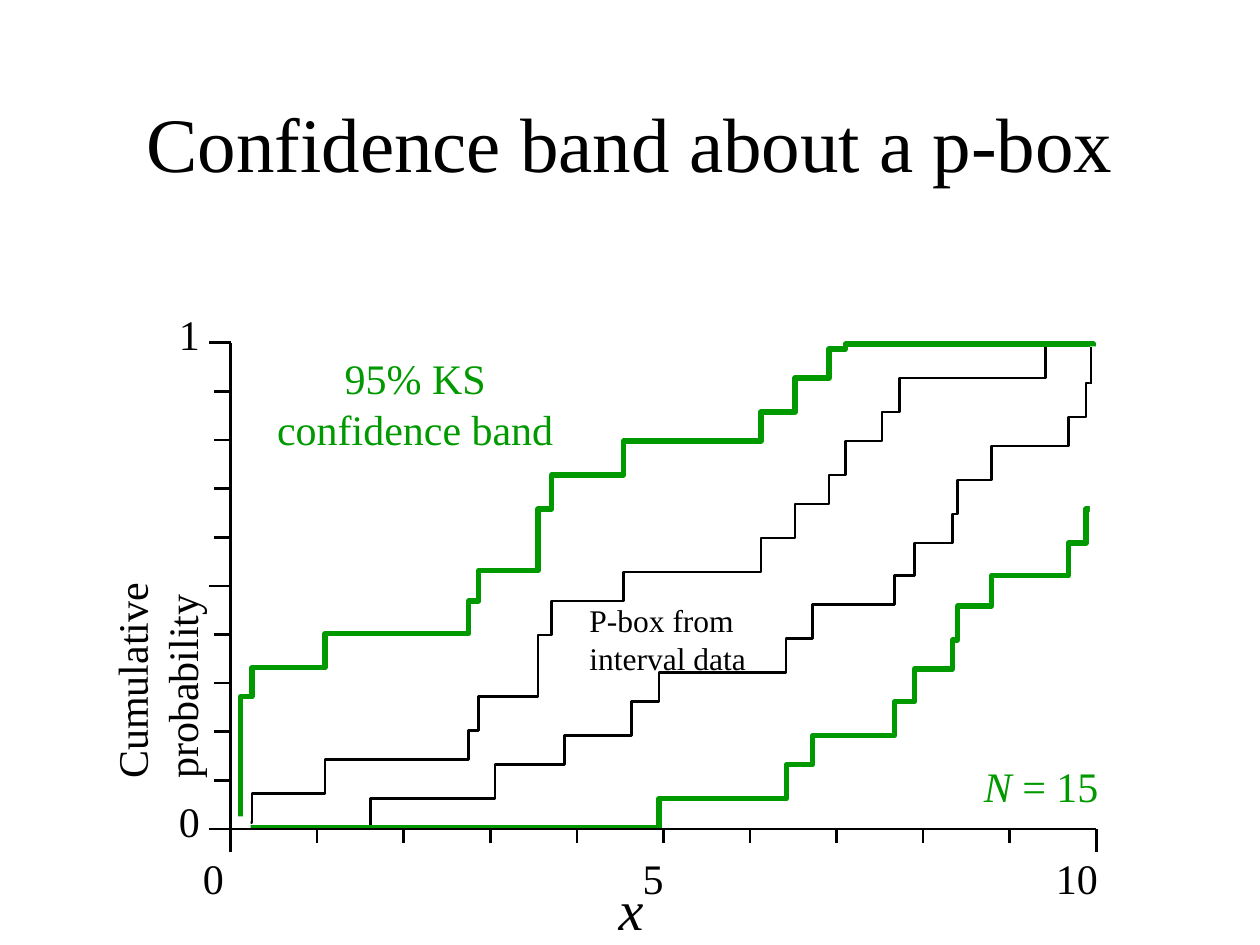
import dataclasses

import pptx
import pptx.dml.color
import pptx.enum.shapes
import pptx.enum.text
import pptx.oxml
import pptx.oxml.ns
import pptx.util

HUES = {"ink": "000000", "band": "009900", "paper": "FFFFFF"}
FONT = "Times New Roman"
ALIGN = pptx.enum.text.PP_ALIGN
ANCHOR = pptx.enum.text.MSO_ANCHOR

# Axes: origin, end points and tick gaps
LEFT, RIGHT, BASE, TOP = 1.83, 8.7, 6.58, 2.72
COUNT = 10
STEP_X = (RIGHT - LEFT) / COUNT
STEP_Y = (BASE - TOP) / COUNT

# Curves: limits and half width of the confidence band
FLOOR, ROOF, START, END = 6.57, 2.73, 1.91, 8.68
SHIFT = 1.0


@dataclasses.dataclass
class Step:
    x: float
    y: float
    wide: float = 1.0  # scales the shift where the band is rounded outward


@dataclasses.dataclass
class Label:
    text: str
    x: float
    y: float
    w: float
    h: float
    size: int = 24
    italic: bool = False


UPPER = [Step(*p) for p in (
    (1.91, 6.53), (2, 6.3), (2.58, 6.03), (3.72, 5.8, 1.03), (3.8, 5.53),
    (4.27, 5.04), (4.38, 4.77), (4.95, 4.54, 1.04), (6.04, 4.27), (6.31, 4),
    (6.58, 3.77), (6.71, 3.5), (7, 3.27), (7.14, 3), (8.3, 2.73))]
LOWER = [Step(*p) for p in (
    (2.94, 6.34), (3.93, 6.07), (4.48, 5.84), (5.01, 5.57), (5.23, 5.34),
    (6.24, 5.07), (6.45, 4.8, 1.04), (7.1, 4.57), (7.26, 4.31), (7.56, 4.08),
    (7.6, 3.81), (7.87, 3.54, 1.03), (8.48, 3.31), (8.62, 3.04))]

MARKS = [
    Label("0", 1.61, 6.77, 0.2, 0.4),
    Label("5", 5.1, 6.77, 0.2, 0.4),
    Label("10", 8.38, 6.77, 0.4, 0.4),
    Label("0", 1.42, 6.31, 0.2, 0.4),
    Label("1", 1.42, 2.45, 0.2, 0.4),
    Label("x", 4.91, 6.94, 0.22, 0.53, 32, True),
]


def size(inch: float) -> int:
    return pptx.util.Cm(inch * 2.54)


def hue(name: str) -> pptx.dml.color.RGBColor:
    return pptx.dml.color.RGBColor.from_string(HUES[name])


def write(slide, text, x, y, w, h, *, pts=24, color="ink", italic=0,
          align=ALIGN.LEFT, anchor=ANCHOR.TOP, pad=True, wrap=True, turn=0):
    """Add a text box; the first `italic` letters are slanted."""
    box = slide.shapes.add_textbox(size(x), size(y), size(w), size(h))
    box.rotation = turn
    frame = box.text_frame
    frame.word_wrap = wrap
    frame.vertical_anchor = anchor
    if not pad:
        frame.margin_left = frame.margin_right = 0
        frame.margin_top = frame.margin_bottom = 0
    para = frame.paragraphs[0]
    para.alignment = align
    for part, slant in ((text[:italic], True), (text[italic:], False)):
        if part:
            run = para.add_run()
            run.text = part
            run.font.name = FONT
            run.font.size = pptx.util.Pt(pts)
            run.font.italic = slant
            run.font.color.rgb = hue(color)


def line(slide, x1: float, y1: float, x2: float, y2: float) -> None:
    link = slide.shapes.add_connector(
        pptx.enum.shapes.MSO_CONNECTOR.STRAIGHT,
        size(x1), size(y1), size(x2), size(y2))
    link.line.color.rgb = hue("ink")
    link.line.width = pptx.util.Pt(1.5)
    link._element.spPr.append(
        pptx.oxml.parse_xml(f'<a:effectLst {pptx.oxml.ns.nsdecls("a")}/>'))


def stair(steps: list[Step], shift: float) -> list[tuple[float, float]]:
    """Corners of a rising step curve, moved by shift and kept in range."""
    spots, level = [(START, FLOOR)], FLOOR
    for step in steps:
        spots.append((step.x, level))
        level = min(max(step.y + shift * step.wide, ROOF), FLOOR)
        spots.append((step.x, level))
    return spots + [(END, level)]


def bounds(slide, shift: float, color: str, pts: float) -> None:
    """Outline between the upper and the lower step curve."""
    ring = stair(UPPER, -shift) + stair(LOWER, shift)[::-1]
    spots = [(size(x), size(y)) for x, y in ring]
    pen = slide.shapes.build_freeform(*spots[0])
    pen.add_line_segments(spots[1:], close=True)
    shape = pen.convert_to_shape()
    shape.shadow.inherit = False
    shape.fill.background()
    shape.line.color.rgb = hue(color)
    shape.line.width = pptx.util.Pt(pts)


def mask(slide, x: float, y: float, w: float, h: float) -> None:
    shape = slide.shapes.add_shape(
        pptx.enum.shapes.MSO_SHAPE.RECTANGLE,
        size(x), size(y), size(w), size(h))
    shape.shadow.inherit = False
    shape.fill.solid()
    shape.fill.fore_color.rgb = hue("paper")
    shape.line.fill.background()


def axes(slide) -> None:
    line(slide, LEFT, BASE, RIGHT, BASE)
    line(slide, LEFT, BASE, LEFT, TOP)
    for i in range(COUNT + 1):
        x, y = LEFT + i * STEP_X, BASE - i * STEP_Y
        line(slide, x, BASE, x, BASE + (0.18 if i % 10 == 0 else 0.11))
        line(slide, LEFT, y, LEFT - (0.17 if i % 5 == 0 else 0.13), y)


def main() -> None:
    deck = pptx.Presentation()
    deck.slide_width, deck.slide_height = size(10), size(7.5)
    slide = deck.slides.add_slide(deck.slide_layouts[6])

    # Title
    write(slide, "Confidence band about a p-box", 0.75, 0.5, 8.5, 1.25,
          pts=44, align=ALIGN.CENTER, anchor=ANCHOR.MIDDLE)

    # P-box, its confidence band, and covers for the closing edges
    bounds(slide, 0, "ink", 1.5)
    bounds(slide, SHIFT, "band", 3)
    mask(slide, 1.81, 6.48, 0.18, 0.13)
    mask(slide, 8.65, 2.75, 0.22, 1.33)
    line(slide, 8.66, 3.05, 8.66, 2.75)

    # Axes and their labels
    axes(slide)
    for m in MARKS:
        write(slide, m.text, m.x, m.y, m.w, m.h, pts=m.size,
              italic=len(m.text) if m.italic else 0, pad=False, wrap=False)
    write(slide, "Cumulative probability", 0.29, 4.83, 1.9, 0.8,
          pad=False, turn=270)

    # Notes on the curves
    write(slide, "P-box from interval data", 4.58, 4.72, 1.58, 0.7, pts=18)
    write(slide, "95% KS confidence band", 1.92, 2.75, 2.75, 0.91,
          color="band", align=ALIGN.CENTER)
    write(slide, "N = 15", 7.71, 5.99, 1.12, 0.51,
          color="band", italic=1, wrap=False)

    deck.save("out.pptx")


if __name__ == "__main__":
    main()
